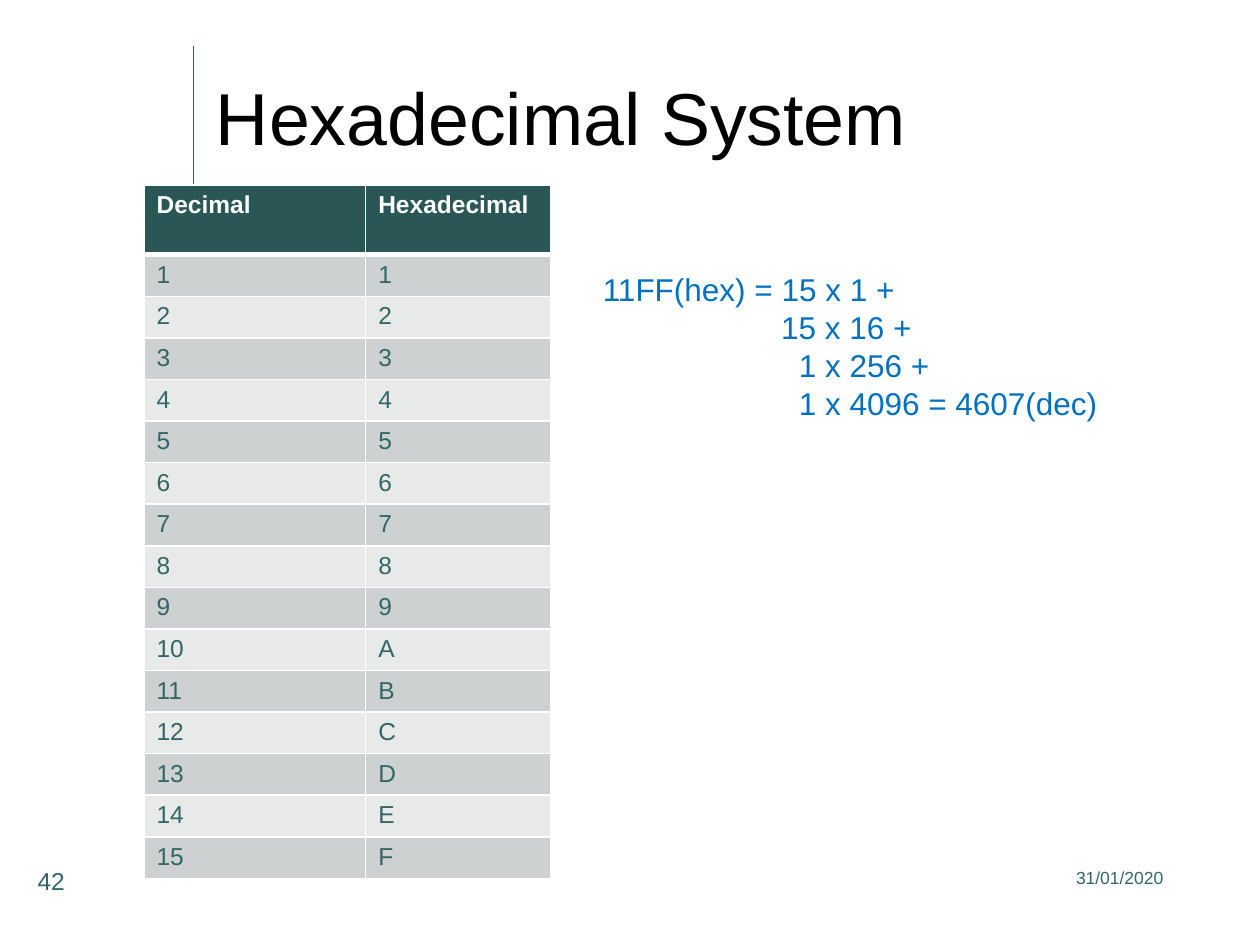
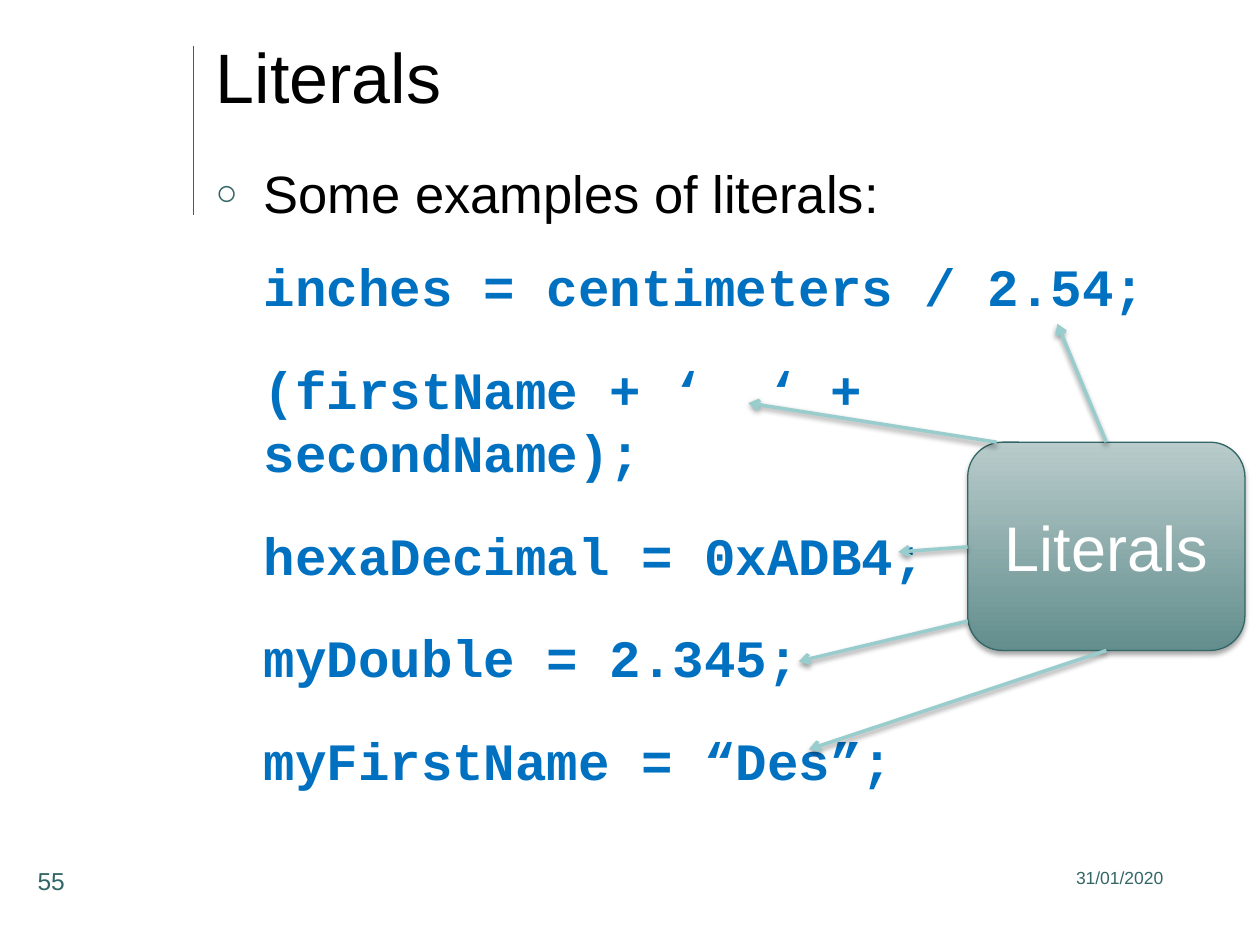
from lxml.etree import SubElement
from pptx import Presentation
from pptx.dml.color import RGBColor
from pptx.enum.shapes import MSO_CONNECTOR, MSO_SHAPE
from pptx.enum.text import MSO_ANCHOR, MSO_AUTO_SIZE, PP_ALIGN
from pptx.oxml.ns import qn
from pptx.util import Pt

HUE = {"teal": "336666", "head": "2A5656", "odd": "CDD1D1", "even": "E8E9E9",
       "white": "FFFFFF", "black": "000000", "blue": "0070C0", "aqua": "99CCCC",
       "light": "B9CBCB", "deep": "628E8D"}
FRAME = {"word_wrap": True, "auto_size": MSO_AUTO_SIZE.NONE}
SANS, MONO = "Arial", "Courier New"
TODAY = "31/01/2020"
ROW = 23.76


def rgb(name):
    """Return the named colour."""
    return RGBColor.from_string(HUE[name])


def put(item, form):
    """Set each attribute of the item from a dict."""
    for key, value in form.items():
        setattr(item, key, value)


def node(parent, tag, **attrs):
    """Append a drawing element with the given attributes."""
    return SubElement(parent, qn("a:" + tag), {k: str(v) for k, v in attrs.items()})


def tint(parent, name):
    """Append a solid fill to an element."""
    node(node(parent, "solidFill"), "srgbClr", val=HUE[name])


def place(item, box):
    """Move the item to a box given in points."""
    put(item, dict(zip(("left", "top", "width", "height"), map(Pt, box))))


def write(para, text, size, hue, font=SANS, bold=False, **form):
    """Fill a paragraph with one run of formatted text."""
    run = para.add_run()
    run.text = text
    put(run.font, {"size": Pt(size), "name": font, "bold": bold})
    run.font.color.rgb = rgb(hue)
    put(para, form)


def indent(para, left, first=0):
    """Set the left margin and first line indent in points."""
    props = para._p.get_or_add_pPr()
    props.set("marL", str(Pt(left)))
    props.set("indent", str(Pt(first)))
    return props


def label(slide, box, text, size, hue="teal", **form):
    """Add a text box with one line and return its frame."""
    frame = slide.shapes.add_textbox(*map(Pt, box)).text_frame
    put(frame, FRAME)
    write(frame.paragraphs[0], text, size, hue, **form)
    return frame


def shade(shape, alpha, dist):
    """Give a shape a soft shadow straight below it."""
    cast = node(node(shape._element.spPr, "effectLst"), "outerShdw", blurRad=Pt(3.1),
                dist=Pt(dist), dir=5400000, rotWithShape=0)
    node(node(cast, "srgbClr", val=HUE["black"]), "alpha", val=alpha * 1000)


def link(slide, start, end, hue, width):
    """Draw a straight line between two points."""
    line = slide.shapes.add_connector(MSO_CONNECTOR.STRAIGHT, *map(Pt, start + end))
    line.line.color.rgb = rgb(hue)
    line.line.width = Pt(width)
    return line


def base(deck, layout, title, box, size, number):
    """Add a slide with its rule, title, date and number."""
    slide = deck.slides.add_slide(deck.slide_layouts[layout])
    rule = link(slide, (110.5, 26.2), (110.5, 122.6), "teal", 0.75)
    node(rule._element.spPr, "effectLst")
    head = slide.shapes.title
    place(head, box)
    put(head.text_frame, {**FRAME, "vertical_anchor": MSO_ANCHOR.MIDDLE})
    write(head.text_frame.paragraphs[0], title, size, "black", alignment=PP_ALIGN.LEFT)
    label(slide, (522, 491.8, 149.8, 36), TODAY, 10, alignment=PP_ALIGN.RIGHT)
    label(slide, (14.4, 491.4, 102.2, 36), number, 14)
    return slide


def cell_form(cell, text, fill, hue, bold, foot):
    """Format one table cell with white borders."""
    props = cell._tc.get_or_add_tcPr()
    for side, width in zip("LRTB", (1, 1, 1, foot)):
        tint(node(props, "ln" + side, w=Pt(width)), "white")
    cell.fill.solid()
    cell.fill.fore_color.rgb = rgb(fill)
    write(cell.text_frame.paragraphs[0], text, 14, hue, bold=bold)


def grid(slide, box):
    """Add the table of decimal and hexadecimal digits."""
    rows = [("Decimal", "Hexadecimal")] + [(str(n), f"{n:X}") for n in range(1, 16)]
    table = slide.shapes.add_table(len(rows), 2, *map(Pt, box)).table
    for col, width in zip(table.columns, (126.7, box[2] - 126.7)):
        col.width = Pt(width)
    for r, row in enumerate(rows):
        table.rows[r].height = Pt(ROW if r else box[3] - ROW * 15)
        look = (("even", "odd")[r % 2], "teal", False, 1) if r else ("head", "white", True, 3)
        for c, text in enumerate(row):
            cell_form(table.cell(r, c), text, *look)


def sums(slide, box):
    """Add the worked conversion, its terms aligned."""
    frame = label(slide, box, "11FF(hex) = 15 x 1 +", 18, "blue")
    terms = (("15 x 16 +", 101.9), ("1 x 256 +", 112), ("1 x 4096 = 4607(dec)", 112))
    for text, left in terms:
        para = frame.add_paragraph()
        write(para, text, 18, "blue")
        indent(para, left)


def code(slide, box):
    """Fill the body with a bullet and lines of code."""
    body = slide.placeholders[1]
    place(body, box)
    frame = body.text_frame
    put(frame, FRAME)
    lead = frame.paragraphs[0]
    write(lead, "Some examples of literals:", 30, "black", space_before=Pt(0))
    props = indent(lead, 27.4, -27.4)
    node(node(props, "buClr"), "srgbClr", val=HUE["teal"])
    node(props, "buSzPct", val=70000)
    node(props, "buFont", typeface=SANS)
    node(props, "buChar", char="○")
    for text, gap in (("inches = centimeters / 2.54;", 17),
                      ("(firstName + ‘  ‘ + secondName);", 23),
                      ("hexaDecimal = 0xADB4;", 22.6), ("myDouble = 2.345;", 22.6),
                      ("myFirstName = “Des”;", 22.6)):
        para = frame.add_paragraph()
        write(para, text, 30, "blue", MONO, True, space_before=Pt(gap))
        node(indent(para, 27.4), "buNone")


def callout(slide, box):
    """Add the rounded box and its arrows to the literals."""
    left, top, width, height = box
    card = slide.shapes.add_shape(MSO_SHAPE.ROUNDED_RECTANGLE, *map(Pt, box))
    card.fill.gradient()
    card.fill.gradient_angle = 270
    for stop, (hue, spot) in zip(card.fill.gradient_stops, (("light", 0), ("deep", 1))):
        stop.color.rgb = rgb(hue)
        stop.position = spot
    card.line.color.rgb = rgb("teal")
    card.line.width = Pt(0.75)
    shade(card, 35, 1.8)
    put(card.text_frame, {**FRAME, "vertical_anchor": MSO_ANCHOR.MIDDLE})
    write(card.text_frame.paragraphs[0], "Literals", 36, "white", alignment=PP_ALIGN.CENTER)
    mid = width / 2
    for start, shift in (((mid, 0), (-28, -67.7)), ((16.5, 0), (-141.8, -22.3)),
                         ((0, 59.8), (-39.6, 2.9)), ((0, 102.2), (-96.5, 23)),
                         ((mid, height), (-169.9, 56.5))):
        tail = (left + start[0], top + start[1])
        tip = (tail[0] + shift[0], tail[1] + shift[1])
        arrow = link(slide, tail, tip, "aqua", 2)
        node(arrow._element.spPr.find(qn("a:ln")), "tailEnd", type="arrow")
        shade(arrow, 38, 1.6)


def main():
    """Build both slides and save them."""
    deck = Presentation()
    put(deck, {"slide_width": Pt(720), "slide_height": Pt(540)})
    slide = base(deck, 5, "Hexadecimal System", (116.2, 21.6, 568, 90), 42, "42")
    grid(slide, (82.3, 105.6, 232.4, 396.4))
    sums(slide, (337.4, 150.8, 357, 116.6))
    slide = base(deck, 1, "Literals", (116, 14.8, 510, 57), 40, "55")
    code(slide, (116, 88.5, 554, 372))
    callout(slide, (553, 252.7, 158.4, 119))
    deck.save("out.pptx")


if __name__ == "__main__":
    main()
